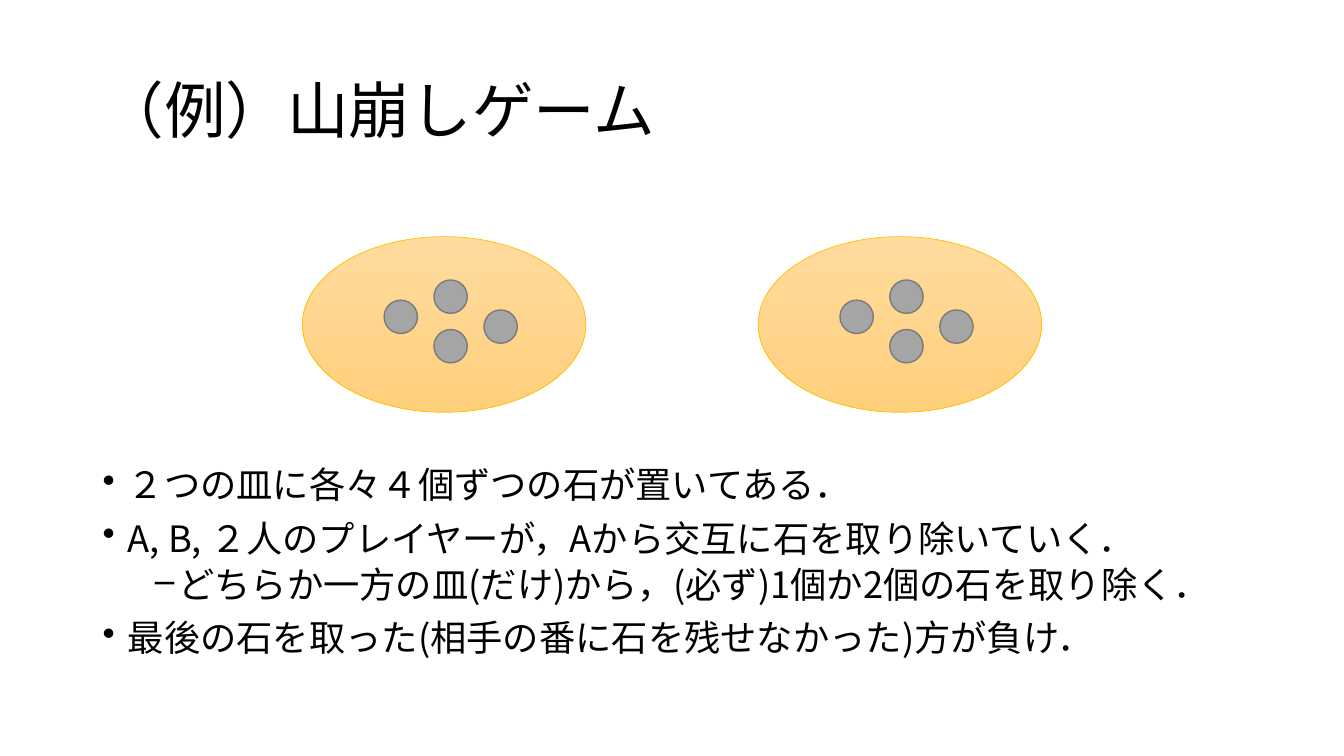
from lxml.etree import SubElement
from pptx import Presentation
from pptx.dml.color import RGBColor
from pptx.enum.shapes import MSO_SHAPE
from pptx.enum.text import MSO_ANCHOR
from pptx.oxml.ns import qn
from pptx.util import Pt

STONES = [(58.4, 45.4), (94, 66.4), (94, 31), (129.7, 52.4)]
RULES = [
    (0, "２つの皿に各々４個ずつの石が置いてある．"),
    (0, "A, B, ２人のプレイヤーが，Aから交互に石を取り除いていく．"),
    (1, "どちらか一方の皿(だけ)から，(必ず)1個か2個の石を取り除く．"),
    (0, "最後の石を取った(相手の番に石を残せなかった)方が負け．"),
]


def color(value):
    return RGBColor.from_string(value)


class GameSlide:
    """Draws the elements of the slide in one shared style."""

    font_name = "Noto Sans CJK JP"
    text_color = "000000"
    bullets = "•‒"

    def __init__(self, presentation):
        self.slide = presentation.slides.add_slide(presentation.slide_layouts[6])

    def text_box(self, left, top, width, height, anchor=MSO_ANCHOR.TOP):
        box = self.slide.shapes.add_textbox(Pt(left), Pt(top), Pt(width), Pt(height))
        box.text_frame.word_wrap = True
        box.text_frame.vertical_anchor = anchor
        return box.text_frame

    def add_text(self, paragraph, text, size, level=None, space_before=0):
        if level is not None:
            properties = paragraph._p.get_or_add_pPr()
            properties.set("marL", str(Pt(18 + 36 * level)))
            properties.set("indent", str(Pt(-18)))
            SubElement(properties, qn("a:buChar")).set("char", self.bullets[level])
            paragraph.level = level
        paragraph.line_spacing = 0.9
        paragraph.space_before = Pt(space_before)
        run = paragraph.add_run()
        run.text = text
        run.font.size = Pt(size)
        run.font.color.rgb = color(self.text_color)
        run.font.name = self.font_name
        SubElement(run.font._element, qn("a:ea")).set("typeface", self.font_name)

    def title(self, text):
        frame = self.text_box(66.24, 28.8, 828, 104.4, MSO_ANCHOR.MIDDLE)
        self.add_text(frame.paragraphs[0], text, 44)

    def rules(self, items):
        frame = self.text_box(66.24, 330.5, 828, 156.2)
        for index, (level, text) in enumerate(items):
            paragraph = frame.add_paragraph() if index else frame.paragraphs[0]
            gap = (10, 5)[level] if index else 0
            self.add_text(paragraph, text, 25.9, level=level, space_before=gap)

    def ellipse(self, group, left, top, width, height, line, line_width):
        shape = group.shapes.add_shape(
            MSO_SHAPE.OVAL, Pt(left), Pt(top), Pt(width), Pt(height))
        shape.shadow.inherit = False
        shape.line.color.rgb = color(line)
        shape.line.width = Pt(line_width)
        return shape.fill

    def plate(self, left, top):
        group = self.slide.shapes.add_group_shape()
        fill = self.ellipse(group, left, top, 202.5, 125.5, "FFC000", 0.5)
        fill.gradient()
        fill.gradient_angle = 270
        for stop, shade in zip(fill.gradient_stops, ("FFDB9E", "FFD07C")):
            stop.color.rgb = color(shade)
        for across, down in STONES:
            fill = self.ellipse(group, left + across, top + down, 23.8, 23.8, "7A7A7A", 1)
            fill.solid()
            fill.fore_color.rgb = color("A5A5A5")


def main():
    presentation = Presentation()
    presentation.slide_width = Pt(960)
    presentation.slide_height = Pt(540)
    game = GameSlide(presentation)
    game.title("（例）山崩しゲーム")
    game.rules(RULES)
    for left in (216, 541.6):
        game.plate(left, 169)
    presentation.save("out.pptx")


if __name__ == "__main__":
    main()
